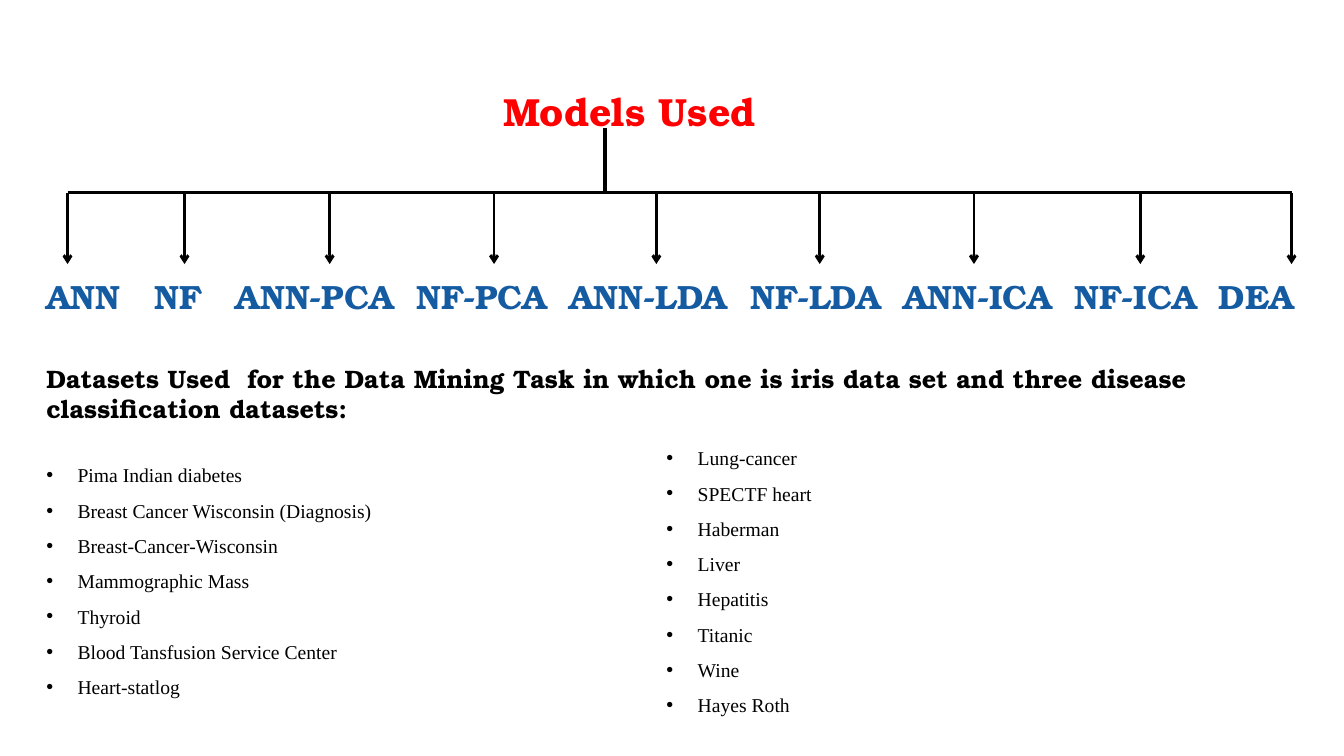
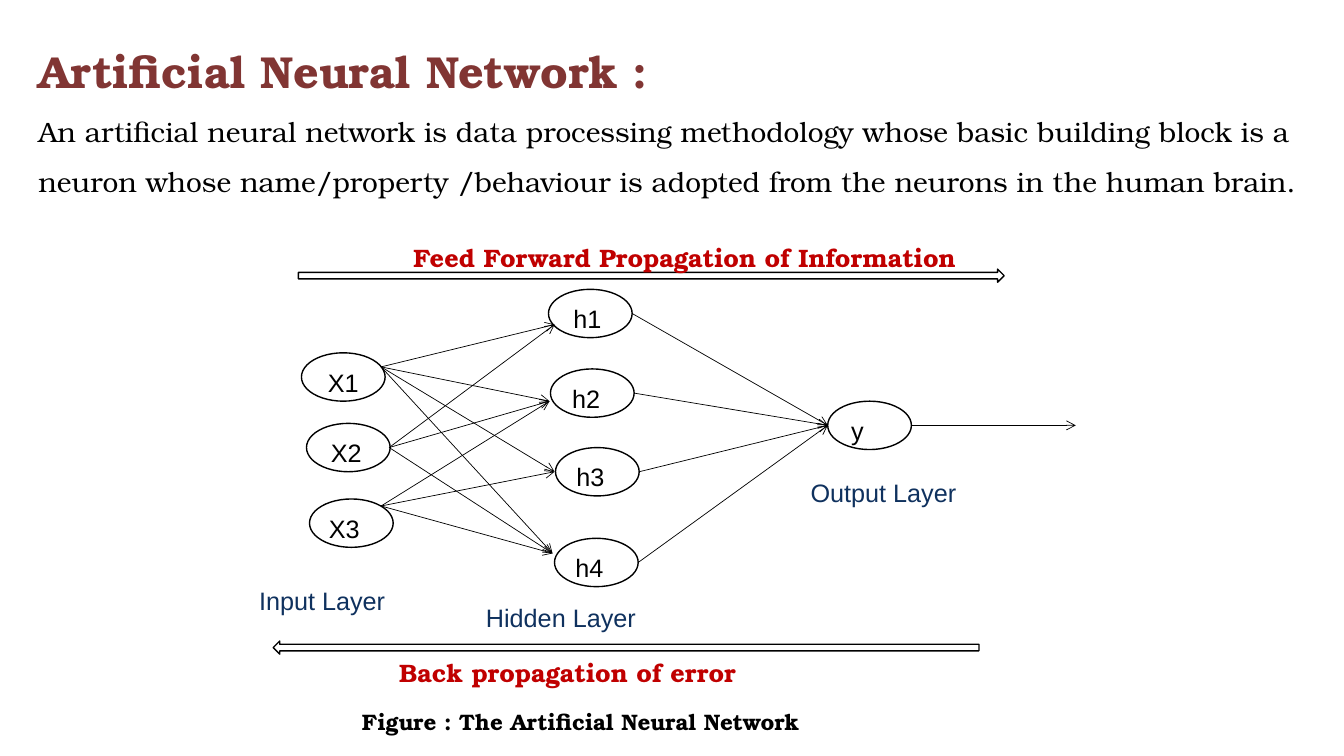
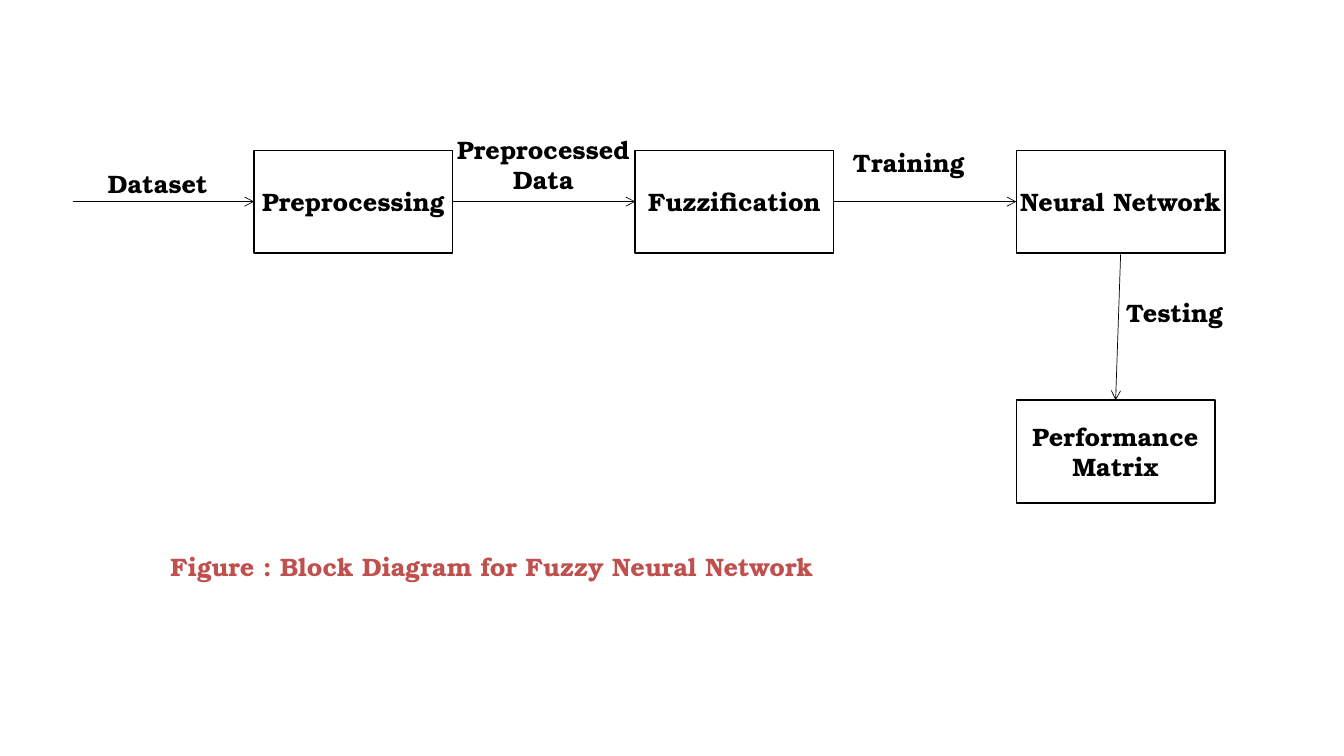
from lxml.etree import SubElement
from pptx import Presentation
from pptx.dml.color import RGBColor
from pptx.enum.shapes import MSO_CONNECTOR as Connector, MSO_SHAPE as Preset
from pptx.enum.text import MSO_ANCHOR as Anchor, PP_ALIGN as Align
from pptx.oxml.ns import qn
from pptx.util import Inches, Pt

BLACK = RGBColor(0x00, 0x00, 0x00)
WHITE = RGBColor(0xFF, 0xFF, 0xFF)
RED = RGBColor(0xFF, 0x00, 0x00)
BLUE = RGBColor(0x14, 0x5B, 0xA2)
MAROON = RGBColor(0x81, 0x35, 0x33)
CRIMSON = RGBColor(0xC0, 0x00, 0x00)
NAVY = RGBColor(0x0F, 0x31, 0x5E)
BRICK = RGBColor(0xC0, 0x50, 0x4D)

SERIF = "TeX Gyre Bonum"
LABEL = {"name": SERIF, "size": Pt(18), "bold": True}
NODE = {"name": "Arial", "size": Pt(18)}
BULLET = {"name": "Times New Roman", "size": Pt(14)}
BODY = {"name": SERIF, "size": Pt(20)}
SLIDE_TITLE = LABEL | {"size": Pt(32)}
TREE_TITLE = LABEL | {"size": Pt(28)}
MODEL = LABEL | {"size": Pt(24)}
CAPTION = LABEL | {"size": Pt(16)}
NO_INSETS = {f"margin_{side}": 0 for side in ("left", "top", "right", "bottom")}
BULLET_INDENT = 0.31

MODELS = [
    ("ANN", 0.46, 0.67), ("NF", 1.53, 1.83), ("ANN-PCA", 2.34, 3.27),
    ("NF-PCA", 4.13, 4.9), ("ANN-LDA", 5.65, 6.51), ("NF-LDA", 7.44, 8.13),
    ("ANN-ICA", 8.96, 9.66), ("NF-ICA", 10.66, 11.31), ("DEA", 12.09, 12.81),
]
LEFT_DATASETS = [
    "Pima Indian diabetes", "Breast Cancer Wisconsin (Diagnosis)",
    "Breast-Cancer-Wisconsin", "Mammographic Mass", "Thyroid",
    "Blood Tansfusion Service Center", "Heart-statlog",
]
RIGHT_DATASETS = [
    "Lung-cancer", "SPECTF heart", "Haberman", "Liver",
    "Hepatitis", "Titanic", "Wine", "Hayes Roth",
]
NEURONS = {
    "X1": (2.99, 3.5, 0), "X2": (3.04, 4.2, 0.02), "X3": (3.07, 4.95, 0.07),
    "h1": (5.44, 2.87, 0.03), "h2": (5.46, 3.66, 0.06), "h3": (5.51, 4.44, 0.07),
    "h4": (5.5, 5.34, 0.07), "y": (8.21, 3.98, 0.12),
}
NEURON_WIDTH, NEURON_HEIGHT = 0.83, 0.48
INPUT_PORTS = {"X1": (3.78, 3.64), "X2": (3.86, 4.44), "X3": (3.78, 5.02)}
HIDDEN_PORTS = {"h1": (5.5, 3.22), "h2": (5.45, 3.98), "h3": (5.5, 4.68), "h4": (5.48, 5.49)}
LINKS = {"X1": ("h1", "h2", "h3", "h4"), "X2": ("h1", "h2", "h4"), "X3": ("h2", "h3", "h4")}


def apply_format(target, values):
    """Set each named attribute of the target."""
    for name, value in values.items():
        setattr(target, name, value)


def write_line(paragraph, text, font, color, layout=None):
    """Write one formatted run into a paragraph."""
    run = paragraph.add_run()
    run.text = text
    apply_format(run.font, font)
    run.font.color.rgb = color
    apply_format(paragraph, layout or {})


def write_lines(frame, lines, font, color, layout=None):
    """Write each line as a paragraph of the frame."""
    for index, text in enumerate(lines):
        paragraph = frame.add_paragraph() if index else frame.paragraphs[0]
        write_line(paragraph, text, font, color, layout)


def add_text(slide, at, lines, font, color=BLACK, layout=None):
    """Add a wrapping text box without insets and return its frame."""
    frame = slide.shapes.add_textbox(*map(Inches, at)).text_frame
    apply_format(frame, NO_INSETS | {"word_wrap": True})
    write_lines(frame, lines, font, color, layout)
    return frame


def add_bullets(slide, at, lines):
    """Add a bulleted list with wide line spacing."""
    frame = add_text(slide, at, lines, BULLET, layout={"line_spacing": 1.5})
    for paragraph in frame.paragraphs:
        properties = paragraph._p.get_or_add_pPr()
        properties.set("marL", str(Inches(BULLET_INDENT)))
        properties.set("indent", str(Inches(-BULLET_INDENT)))
        SubElement(properties, qn("a:buFont"), typeface="Arial")
        SubElement(properties, qn("a:buChar"), char="•")


def add_outline(slide, preset, at, fill=None):
    """Add a preset shape with a thin black outline."""
    shape = slide.shapes.add_shape(preset, *map(Inches, at))
    shape.shadow.inherit = False
    if fill is None:
        shape.fill.background()
    else:
        shape.fill.solid()
        shape.fill.fore_color.rgb = fill
    shape.line.color.rgb = BLACK
    shape.line.width = Pt(1)
    return shape


def add_line(slide, start, end, width=0.5, arrow=True):
    """Add a straight black line, with an arrowhead at its end if asked."""
    line = slide.shapes.add_connector(Connector.STRAIGHT, *map(Inches, (*start, *end)))
    line.line.color.rgb = BLACK
    line.line.width = Pt(width)
    if arrow:
        SubElement(line.line._get_or_add_ln(), qn("a:tailEnd"), type="arrow")
    SubElement(line._element.spPr, qn("a:effectLst"))
    return line


def add_neuron(slide, name, left, top, shift):
    """Add a neuron whose name sits slightly left of its centre."""
    shape = add_outline(slide, Preset.OVAL, (left, top, NEURON_WIDTH, NEURON_HEIGHT))
    frame = shape.text_frame
    apply_format(frame, NO_INSETS | {
        "word_wrap": False, "vertical_anchor": Anchor.TOP,
        "margin_top": Inches(0.07), "margin_right": Inches(2 * shift),
    })
    write_lines(frame, [name], NODE, BLACK, {"alignment": Align.CENTER})


def add_block(slide, left, top, width, lines):
    """Add a labelled block of the block diagram."""
    shape = add_outline(slide, Preset.RECTANGLE, (left, top, width, 1.02))
    frame = shape.text_frame
    apply_format(frame, NO_INSETS | {"word_wrap": True, "vertical_anchor": Anchor.MIDDLE})
    write_lines(frame, lines, LABEL, BLACK, {"alignment": Align.CENTER})
    return shape


def build_models(slide):
    """Build the tree of models and the lists of datasets."""
    bus_top, arrow_end = 1.91, 2.62
    add_text(slide, (4.99, 0.87, 3, 0.46), ["Models Used"], TREE_TITLE, RED)
    add_line(slide, (6, 1.27), (6, bus_top), 2.5, arrow=False)
    add_line(slide, (MODELS[0][2], bus_top), (MODELS[-1][2], bus_top), 2, arrow=False)
    label_ends = [left for _, left, _ in MODELS[1:]] + [13.1]
    for (name, left, arrow_left), label_end in zip(MODELS, label_ends):
        add_line(slide, (arrow_left, bus_top), (arrow_left, arrow_end), 2)
        add_text(slide, (left, 2.74, label_end - left, 0.4), [name], MODEL, BLUE)
    add_text(slide, (0.46, 3.6, 12.48, 0.6), [
        "Datasets Used  for the Data Mining Task in which one is iris data set "
        "and three disease classification datasets:"], LABEL)
    add_bullets(slide, (0.46, 4.48, 5, 2.5), LEFT_DATASETS)
    add_bullets(slide, (6.61, 4.31, 4.22, 2.9), RIGHT_DATASETS)


def build_network(slide):
    """Build the neural network with its description."""
    frame = add_text(slide, (0.38, 0.17, 12.57, 1.82), ["Artificial Neural Network :"],
                     SLIDE_TITLE, MAROON, {"line_spacing": 1.5})
    write_line(frame.add_paragraph(),
               "An artificial neural network is data processing methodology whose basic "
               "building block is a neuron whose name/property /behaviour is adopted from "
               "the neurons in the human brain.", BODY, BLACK, {"line_spacing": 1.5})

    for name, place in NEURONS.items():
        add_neuron(slide, name, *place)
    for source, targets in LINKS.items():
        for target in targets:
            add_line(slide, INPUT_PORTS[source], HIDDEN_PORTS[target])
    output_left, output_top, _ = NEURONS["y"]
    output_middle = output_top + NEURON_HEIGHT / 2
    for name in HIDDEN_PORTS:
        left, top, _ = NEURONS[name]
        add_line(slide, (left + NEURON_WIDTH, top + NEURON_HEIGHT / 2),
                 (output_left, output_middle))
    add_line(slide, (output_left + NEURON_WIDTH, output_middle), (10.67, output_middle))

    add_outline(slide, Preset.RIGHT_ARROW, (2.96, 2.67, 7, 0.13), WHITE)
    add_outline(slide, Preset.LEFT_ARROW, (2.71, 6.36, 7, 0.13), WHITE)
    for text, left, top, font, color in [
        ("Feed Forward Propagation of Information", 4.1, 2.4, LABEL, CRIMSON),
        ("Back propagation of error", 3.96, 6.52, LABEL, CRIMSON),
        ("Input Layer", 2.57, 5.81, NODE, NAVY),
        ("Hidden Layer", 4.82, 5.98, NODE, NAVY),
        ("Output Layer", 8.04, 4.74, NODE, NAVY),
        ("Figure : The Artificial Neural Network", 3.59, 7.03, CAPTION, BLACK),
    ]:
        add_text(slide, (left, top, 6, 0.3), [text], font, color)


def build_blocks(slide):
    """Build the block diagram of the fuzzy neural network."""
    row_top, row_middle = 1.49, 2
    preprocessing = add_block(slide, 2.52, row_top, 1.97, ["Preprocessing"])
    fuzzification = add_block(slide, 6.3, row_top, 1.97, ["Fuzzification"])
    network = add_block(slide, 10.08, row_top, 2.07, ["Neural Network"])
    performance = add_block(slide, 10.08, 3.97, 1.97, ["Performance", "Matrix"])

    dataset = add_line(slide, (0.72, row_middle), (2.52, row_middle))
    dataset.end_connect(preprocessing, 1)
    for source, source_side, target, target_side in [
        (preprocessing, 3, fuzzification, 1),
        (fuzzification, 3, network, 1),
        (network, 2, performance, 0),
    ]:
        arrow = add_line(slide, (0, 0), (1, 1))
        arrow.begin_connect(source, source_side)
        arrow.end_connect(target, target_side)

    add_text(slide, (1.07, 1.67, 1.2, 0.3), ["Dataset"], LABEL)
    add_text(slide, (4.5, 1.33, 1.78, 0.6), ["Preprocessed", "Data"], LABEL,
             layout={"alignment": Align.CENTER})
    add_text(slide, (8.46, 1.46, 1.4, 0.3), ["Training"], LABEL)
    add_text(slide, (11.17, 2.95, 1.12, 0.3), ["Testing"], LABEL)
    add_text(slide, (1.69, 5.47, 6.8, 0.3),
             ["Figure : Block Diagram for Fuzzy Neural Network"], LABEL, BRICK)


def main():
    """Build the three slides and save them."""
    presentation = Presentation()
    apply_format(presentation, {"slide_width": Inches(13.33), "slide_height": Inches(7.5)})
    for build in (build_models, build_network, build_blocks):
        build(presentation.slides.add_slide(presentation.slide_layouts[6]))
    presentation.save("out.pptx")


if __name__ == "__main__":
    main()
